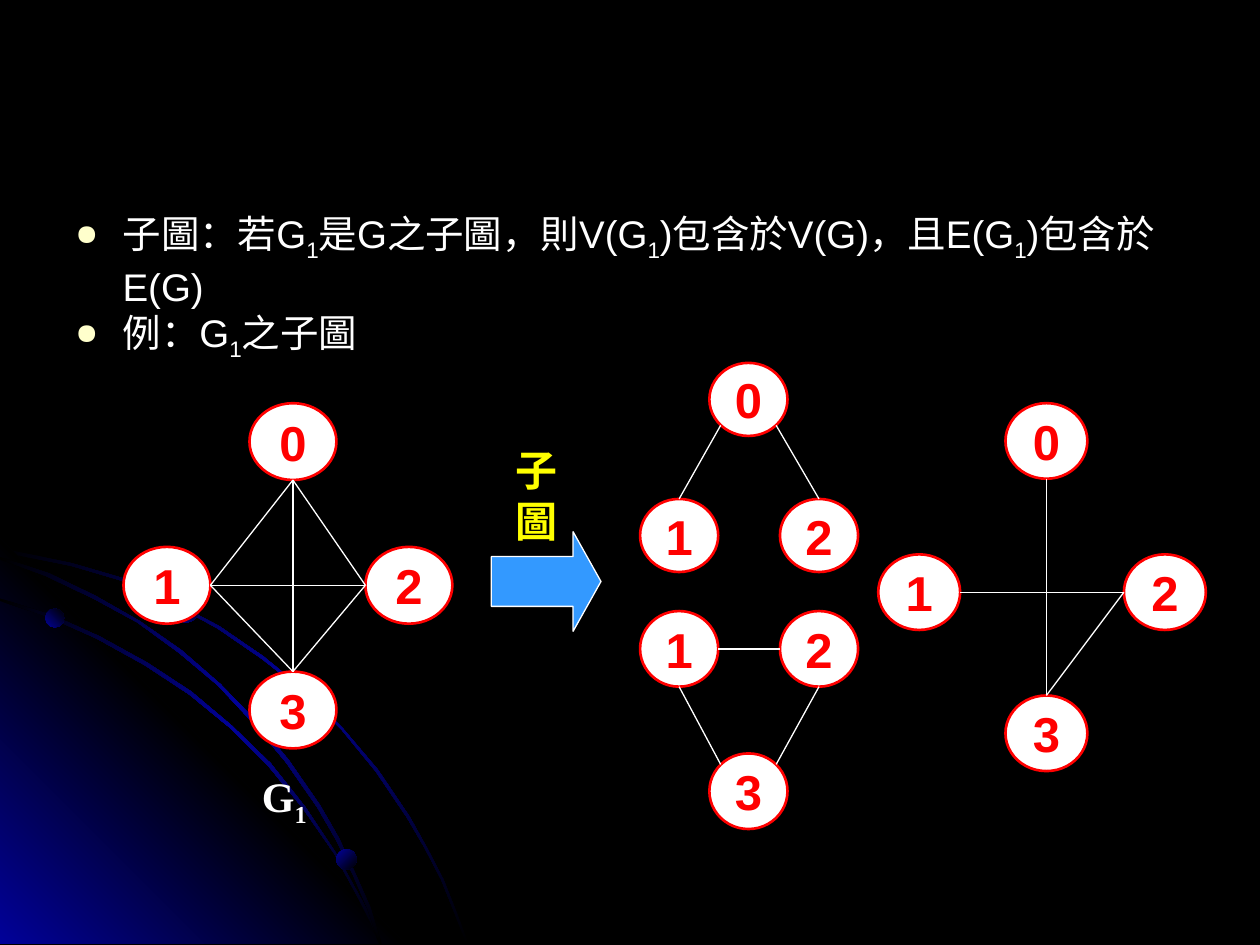
from lxml.etree import SubElement
from pptx import Presentation
from pptx.dml.color import RGBColor
from pptx.enum.shapes import MSO_CONNECTOR as CONN, MSO_SHAPE as SHAPE
from pptx.enum.text import MSO_ANCHOR as ANCHOR, MSO_AUTO_SIZE as AUTO, PP_ALIGN as ALIGN
from pptx.oxml.ns import qn
from pptx.util import Inches, Pt

BLACK = RGBColor(0x00, 0x00, 0x00)
WHITE = RGBColor(0xFF, 0xFF, 0xFF)
NAVY = RGBColor(0x01, 0x01, 0x99)
RED = RGBColor(0xFF, 0x00, 0x00)
YELLOW = RGBColor(0xFF, 0xFF, 0x00)
CREAM = RGBColor(0xFF, 0xFF, 0xCC)
SKY = RGBColor(0x33, 0x99, 0xFF)

COLS, ROWS = 100, 75
DIAGONAL = 0.71
PORTS = {
    "top": (0, -1), "bottom": (0, 1), "left": (-1, 0), "right": (1, 0),
    "sw": (-DIAGONAL, DIAGONAL), "se": (DIAGONAL, DIAGONAL),
    "nw": (-DIAGONAL, -DIAGONAL), "ne": (DIAGONAL, -DIAGONAL),
}

BODY = {"name": "Arial", "size": Pt(22)}
NODE = {"name": "Arial", "size": Pt(28), "bold": True}
CAPTION = {"name": "Times New Roman", "size": Pt(24), "bold": True}
LABEL = {"name": "Arial", "size": Pt(24), "bold": True}

ARCS = [
    [(5.7, 44.7), (0, 43.5), (0, 43.8), (5.6, 44.9), (9.7, 46.1), (13.5, 47.8),
     (17.3, 49.9), (20.8, 52.3), (24.1, 54.9), (27.1, 57.9), (29.8, 61.2),
     (32.3, 64.9), (33.7, 67.3), (35, 69.8), (36, 72.3), (37, 74.9), (37.2, 74.9),
     (36.2, 72.3), (35.2, 69.8), (33.9, 67.3), (32.5, 64.8), (30, 61.1),
     (27.2, 57.8), (24.2, 54.8), (20.9, 52.1), (17.4, 49.7), (13.6, 47.7), (9.8, 45.9)],
    [(28.5, 71.4), (29.4, 73.2), (30.1, 74.9), (30.3, 74.9), (29.6, 73), (28.6, 71.2),
     (26.6, 67.6), (24.2, 64), (21.5, 60.6), (18.4, 57.6), (15.2, 54.9), (11.7, 52.6),
     (7.9, 50.5), (4.1, 48.8), (0, 47.5), (0, 47.7), (3.9, 49), (7.7, 50.7),
     (11.5, 52.8), (15, 55.1), (18.3, 57.8), (21.3, 60.8), (24, 64.1), (26.5, 67.7)],
    [(0, 44.2), (0, 44.4), (3.6, 45.7), (7.4, 47.5), (10.9, 49.4), (14.2, 51.8),
     (17.3, 54.4), (20.2, 57.5), (22.7, 60.5), (25.2, 64.1), (26.7, 66.7), (28, 69.4),
     (29.2, 72.2), (30.1, 74.9), (30.3, 74.9), (29.4, 72), (28.2, 69.3), (26.9, 66.5),
     (25.4, 63.9), (22.9, 60.3), (20.4, 57.3), (17.5, 54.3), (14.4, 51.6),
     (11.1, 49.3), (7.6, 47.3), (3.9, 45.5)],
]
CORNER = [(32.2, 74.9), (0, 74.9), (0, 42.7)]
DOTS = [(3.6, 48.3, 1.5, 315), (26.7, 67.4, 1.6, 45), (13.7, 47.3, 2.1, 315)]

GRAPHS = [
    ((6.2, 5.8), {"0": (56.3, 28.8), "1": (50.8, 39.6), "2": (61.9, 39.6)},
     ["0 sw 1 top", "0 se 2 top"]),
    ((6.2, 6), {"3": (56.3, 59.8), "1": (50.8, 48.5), "2": (61.9, 48.5)},
     ["1 right 2 left", "1 bottom 3 nw", "2 bottom 3 ne"]),
    ((6.5, 6), {"0": (79.8, 32), "3": (79.8, 55.2), "2": (89.2, 44), "1": (69.7, 44)},
     ["1 right 2 left", "0 bottom 3 top", "2 left 3 top"]),
    ((6.9, 6.1), {"0": (19.8, 32), "1": (9.8, 43.4), "2": (29, 43.4), "3": (19.8, 53.3)},
     ["0 bottom 3 top", "0 bottom 1 right", "1 right 2 left",
      "0 bottom 2 left", "1 right 3 top", "2 left 3 top"]),
]


class Deck:
    def __init__(self):
        self.prs = Presentation()
        self.prs.slide_width, self.prs.slide_height = Inches(10), Inches(7.5)
        self.s = self.prs.slides.add_slide(self.prs.slide_layouts[6])
        self.s.background.fill.solid()
        self.s.background.fill.fore_color.rgb = BLACK

    def grid(self, col, row):
        return (round(self.prs.slide_width * col / COLS),
                round(self.prs.slide_height * row / ROWS))

    def gradient(self, sp, colors, angle):
        sp.shadow.inherit = False
        sp.line.fill.background()
        sp.fill.gradient()
        sp.fill.gradient_angle = (360 - angle) % 360
        stops = sp._element.spPr.find(".//" + qn("a:gsLst"))
        stops.clear()
        for i, color in enumerate(colors):
            gs = SubElement(stops, qn("a:gs"), pos=str(100000 * i // (len(colors) - 1)))
            SubElement(gs, qn("a:srgbClr"), val=str(color))

    def freeform(self, points, colors, angle):
        start, *rest = [self.grid(*pt) for pt in points]
        builder = self.s.shapes.build_freeform(*start)
        builder.add_line_segments(rest, close=True)
        self.gradient(builder.convert_to_shape(), colors, angle)

    def dot(self, col, row, size, angle):
        sp = self.s.shapes.add_shape(SHAPE.OVAL, *self.grid(col, row), *self.grid(size, size))
        self.gradient(sp, [NAVY, BLACK], angle)

    def shape(self, shapes, kind, at, size, fill, line, width):
        sp = shapes.add_shape(kind, *self.grid(*at), *self.grid(*size))
        sp.shadow.inherit = False
        sp.fill.solid()
        sp.fill.fore_color.rgb = fill
        sp.line.color.rgb = line
        sp.line.width = Pt(width)
        return sp

    def add_runs(self, p, text, style, color):
        for i, part in enumerate(text.split("|")):
            r = p.add_run()
            r.text = part
            for name, value in style.items():
                setattr(r.font, name, value)
            r.font.color.rgb = color
            if i % 2:
                r._r.get_or_add_rPr().set("baseline", "-25000")

    def bullet(self, p):
        pPr = p._p.get_or_add_pPr()
        pPr.set("marL", "342900")
        pPr.set("indent", "-342900")
        SubElement(SubElement(pPr, qn("a:buClr")), qn("a:srgbClr"), val=str(CREAM))
        SubElement(pPr, qn("a:buSzPct"), val="75000")
        SubElement(pPr, qn("a:buChar"), char="●")

    def text(self, at, size, lines, style, color, bullets=False):
        tf = self.s.shapes.add_textbox(*self.grid(*at), *self.grid(*size)).text_frame
        tf.word_wrap = bullets
        tf.auto_size = AUTO.NONE if bullets else AUTO.SHAPE_TO_FIT_TEXT
        for i, line in enumerate(lines):
            p = tf.add_paragraph() if i else tf.paragraphs[0]
            if bullets:
                self.bullet(p)
            self.add_runs(p, line, style, color)

    def node(self, shapes, name, at, size):
        sp = self.shape(shapes, SHAPE.FLOWCHART_CONNECTOR, at, size, WHITE, RED, 1.5)
        tf = sp.text_frame
        tf.word_wrap = False
        tf.vertical_anchor = ANCHOR.MIDDLE
        tf.paragraphs[0].alignment = ALIGN.CENTER
        self.add_runs(tf.paragraphs[0], name, NODE, RED)

    def edge(self, shapes, start, end):
        c = shapes.add_connector(CONN.STRAIGHT, *self.grid(*start), *self.grid(*end))
        c.line.color.rgb = WHITE
        c.line.width = Pt(0.75)
        SubElement(c._element.spPr, qn("a:effectLst"))

    def graph(self, size, nodes, edges):
        shapes = self.s.shapes.add_group_shape().shapes
        for name, at in nodes.items():
            self.node(shapes, name, at, size)

        def port(name, side):
            return [a + d / 2 * (1 + k) for a, d, k in zip(nodes[name], size, PORTS[side])]

        for edge in edges:
            a, a_side, b, b_side = edge.split()
            self.edge(shapes, port(a, a_side), port(b, b_side))

    def arrow(self, at, size):
        sp = self.shape(self.s.shapes, SHAPE.RIGHT_ARROW, at, size, SKY, WHITE, 0.75)
        sp.adjustments[1] = 0.28


def main():
    deck = Deck()
    deck.freeform(ARCS[0], [BLACK, NAVY, BLACK], 45)
    deck.freeform(CORNER, [NAVY, BLACK, NAVY], 315)
    for arc in ARCS[1:]:
        deck.freeform(arc, [BLACK, NAVY, BLACK], 45)
    for dot in DOTS:
        deck.dot(*dot)
    deck.text((5, 16.2), (90, 10.2),
              ["子圖：若G|1|是G之子圖，則V(G|1|)包含於V(G)，且E(G|1|)包含於E(G)",
               "例：G|1|之子圖"], BODY, WHITE, bullets=True)
    for graph in GRAPHS:
        deck.graph(*graph)
    deck.text((19.8, 60.7), (5.7, 5), ["G|1"], CAPTION, WHITE)
    deck.arrow((39, 42.2), (8.7, 7.9))
    deck.text((39.9, 34.8), (5.3, 9), ["子", "圖"], LABEL, YELLOW)
    deck.prs.save("out.pptx")


if __name__ == "__main__":
    main()
